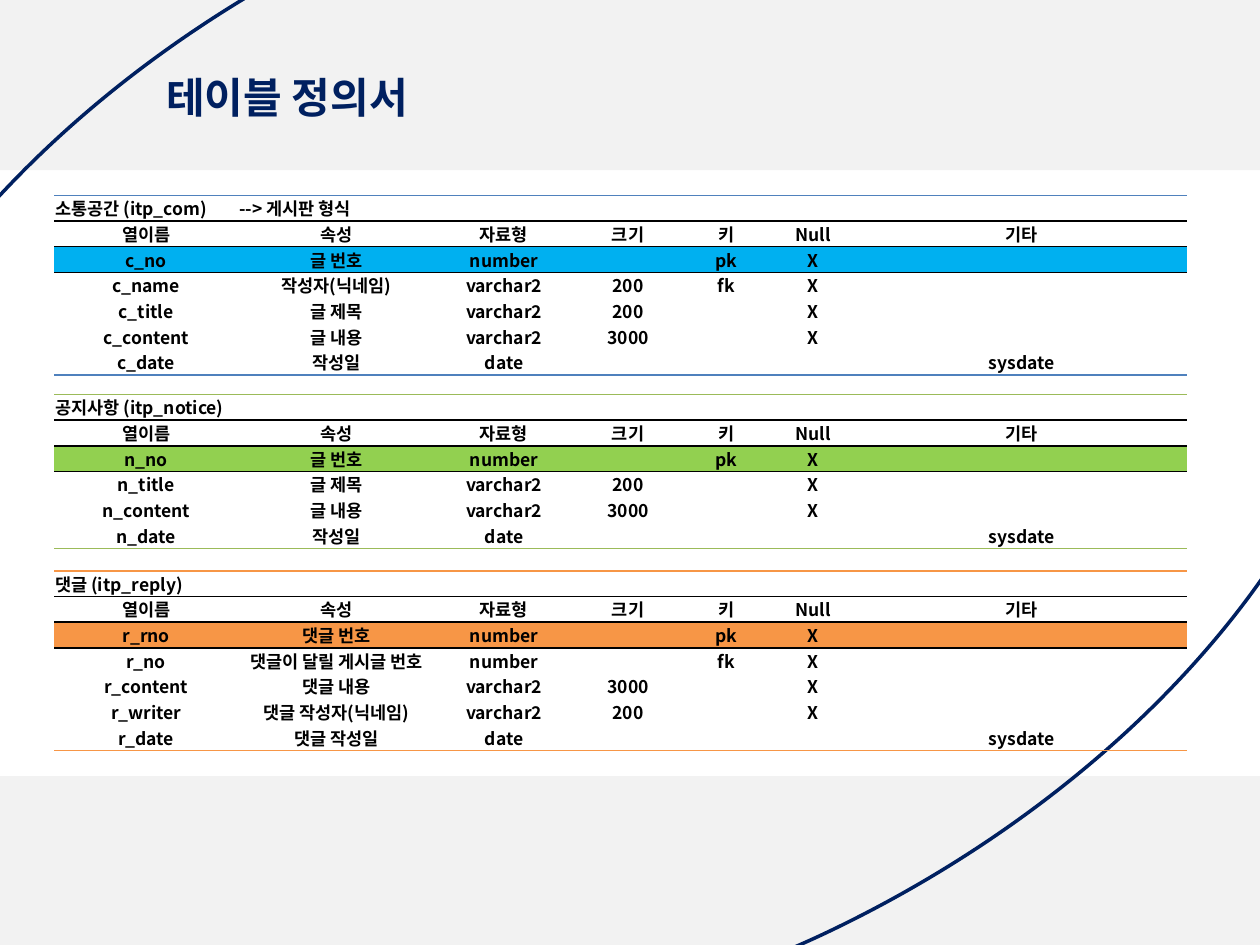
import lxml.etree
import pptx
import pptx.dml.color
import pptx.enum.shapes
import pptx.enum.text
import pptx.oxml.ns
import pptx.util

Inches = pptx.util.Inches
Pt = pptx.util.Pt
qn = pptx.oxml.ns.qn

FONT = "Noto Sans CJK KR"
NO_GRID_STYLE = "{2D5ABB26-0587-4C30-8999-92F81FD0307C}"
COLORS = {
    "band": "F2F2F2", "navy": "002060", "text": "000000",
    "blue_line": "4F81BD", "blue_fill": "00B0F0",
    "green_line": "9BBB59", "green_fill": "92D050",
    "orange_line": "F79646", "orange_fill": "F79646",
}
COLUMN_WIDTHS = [1.46, 1.56, 1.1, 0.87, 0.69, 0.69, 2.62]
ROW_HEIGHT = 0.204
HEADINGS = ["열이름", "속성", "자료형", "크기", "키", "Null", "기타"]
DEFINITIONS = [
    (1.55, "blue", ["소통공간 (itp_com)", "--> 게시판 형식"], [
        ["c_no", "글 번호", "number", "", "pk", "X", ""],
        ["c_name", "작성자(닉네임)", "varchar2", "200", "fk", "X", ""],
        ["c_title", "글 제목", "varchar2", "200", "", "X", ""],
        ["c_content", "글 내용", "varchar2", "3000", "", "X", ""],
        ["c_date", "작성일", "date", "", "", "", "sysdate"],
    ]),
    (3.13, "green", ["공지사항 (itp_notice)"], [
        ["n_no", "글 번호", "number", "", "pk", "X", ""],
        ["n_title", "글 제목", "varchar2", "200", "", "X", ""],
        ["n_content", "글 내용", "varchar2", "3000", "", "X", ""],
        ["n_date", "작성일", "date", "", "", "", "sysdate"],
    ]),
    (4.53, "orange", ["댓글 (itp_reply)"], [
        ["r_rno", "댓글 번호", "number", "", "pk", "X", ""],
        ["r_no", "댓글이 달릴 게시글 번호", "number", "", "fk", "X", ""],
        ["r_content", "댓글 내용", "varchar2", "3000", "", "X", ""],
        ["r_writer", "댓글 작성자(닉네임)", "varchar2", "200", "", "X", ""],
        ["r_date", "댓글 작성일", "date", "", "", "", "sysdate"],
    ]),
]


def rgb(name):
    """Return the named colour."""
    return pptx.dml.color.RGBColor.from_string(COLORS[name])


def style_paragraph(paragraph, size, color, alignment):
    """Set bold type for Latin and Korean text alike."""
    paragraph.alignment = alignment
    font = paragraph.font
    font.size, font.bold, font.name = Pt(size), True, FONT
    font.color.rgb = rgb(color)
    defaults = paragraph._p.pPr.find(qn("a:defRPr"))
    lxml.etree.SubElement(defaults, qn("a:ea"), typeface=FONT)
    if not paragraph.text:
        lxml.etree.SubElement(paragraph._p, qn("a:endParaRPr"), sz=str(size * 100))


def add_border(cell, side, color):
    """Draw a one-point border on the top (T) or bottom (B) of a cell."""
    line = lxml.etree.Element(qn("a:ln" + side), w=str(Pt(1)))
    fill = lxml.etree.SubElement(line, qn("a:solidFill"))
    lxml.etree.SubElement(fill, qn("a:srgbClr"), val=COLORS[color])
    cell._tc.get_or_add_tcPr().insert(0, line)


def add_shape(slide, kind, left, top, width, height):
    """Add a preset shape without a shadow."""
    shape = slide.shapes.add_shape(
        kind, Inches(left), Inches(top), Inches(width), Inches(height))
    shape.shadow.inherit = False
    return shape


def add_background(slide):
    """Place the two grey bands and the sweeping curve."""
    kinds = pptx.enum.shapes.MSO_SHAPE
    for top in (0, 6.16):
        band = add_shape(slide, kinds.RECTANGLE, 0, top, 10, 1.35)
        band.fill.solid()
        band.fill.fore_color.rgb = rgb("band")
        band.line.fill.background()
    curve = add_shape(slide, kinds.TEAR, -1.94, -0.91, 13.27, 8.73)
    curve.adjustments[0] = 0.693
    curve.rotation = 154.5
    curve.fill.background()
    curve.line.color.rgb = rgb("navy")
    curve.line.width = Pt(2)


def add_title(slide, left, top, width, height):
    """Format the title placeholder and bring it in front of the bands."""
    title = slide.shapes.title
    title.left, title.top = Inches(left), Inches(top)
    title.width, title.height = Inches(width), Inches(height)
    frame = title.text_frame
    frame.text = "테이블 정의서"
    frame.word_wrap = False
    frame.auto_size = pptx.enum.text.MSO_AUTO_SIZE.NONE
    frame.vertical_anchor = pptx.enum.text.MSO_ANCHOR.MIDDLE
    style_paragraph(frame.paragraphs[0], 24, "navy", pptx.enum.text.PP_ALIGN.LEFT)
    slide.shapes._spTree.append(title._element)


def add_definition(slide, left, top, theme, caption, fields):
    """Place one table definition: caption, headings, key row and fields."""
    count = len(COLUMN_WIDTHS)
    rows = [caption + [""] * (count - len(caption)), HEADINGS] + fields
    table = slide.shapes.add_table(
        len(rows), count, Inches(left), Inches(top),
        Inches(sum(COLUMN_WIDTHS)), Inches(ROW_HEIGHT * len(rows))).table
    table.first_row = table.horz_banding = False
    table._tbl.tblPr.find(qn("a:tableStyleId")).text = NO_GRID_STYLE
    for column, width in zip(table.columns, COLUMN_WIDTHS):
        column.width = Inches(width)
    borders = {0: ("text", theme + "_line"), 1: ("text", "text"),
               2: (None, "text"), len(rows) - 1: (theme + "_line", None)}
    align = pptx.enum.text.PP_ALIGN
    for row_index, values in enumerate(rows):
        table.rows[row_index].height = Inches(ROW_HEIGHT)
        for column_index, value in enumerate(values):
            cell = table.cell(row_index, column_index)
            cell.text = value
            cell.margin_left = cell.margin_right = Inches(0.01)
            cell.margin_top = cell.margin_bottom = 0
            cell.vertical_anchor = pptx.enum.text.MSO_ANCHOR.MIDDLE
            style_paragraph(cell.text_frame.paragraphs[0], 10, "text",
                            align.CENTER if row_index else align.LEFT)
            if row_index == 2:
                cell.fill.solid()
                cell.fill.fore_color.rgb = rgb(theme + "_fill")
            else:
                cell.fill.background()
            for side, color in zip("BT", borders.get(row_index, ())):
                if color:
                    add_border(cell, side, color)


def main():
    """Build the slide and save it."""
    presentation = pptx.Presentation()
    presentation.slide_width, presentation.slide_height = Inches(10), Inches(7.5)
    slide = presentation.slides.add_slide(presentation.slide_layouts[5])
    add_background(slide)
    add_title(slide, 1.22, 0.52, 2.27, 0.49)
    for top, theme, caption, fields in DEFINITIONS:
        add_definition(slide, 0.43, top, theme, caption, fields)
    presentation.save("out.pptx")


if __name__ == "__main__":
    main()
